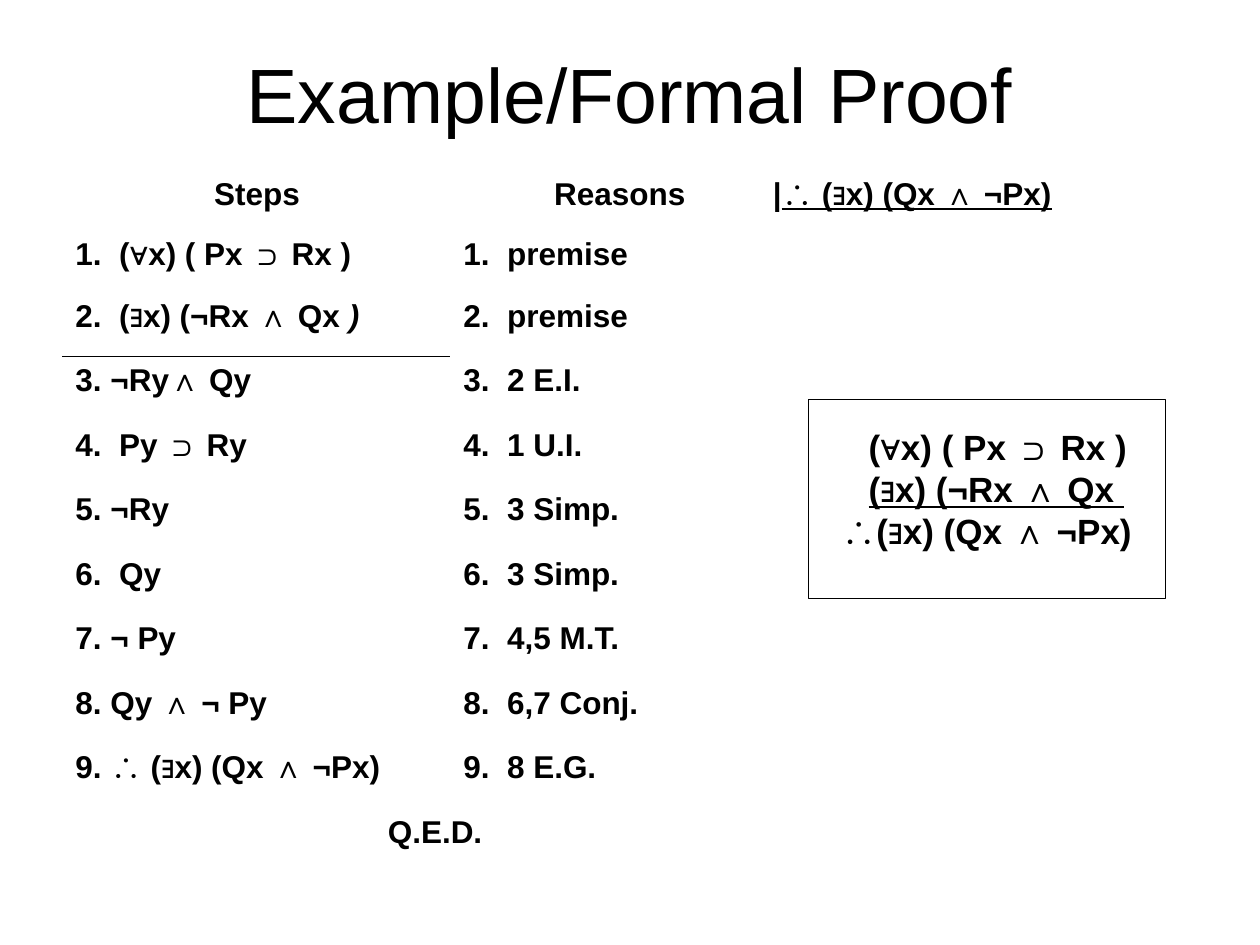
from lxml.etree import SubElement
from pptx import Presentation
from pptx.dml.color import RGBColor
from pptx.enum.shapes import MSO_SHAPE as Shape
from pptx.enum.text import MSO_ANCHOR as Anchor, PP_ALIGN as Align
from pptx.oxml.ns import qn
from pptx.util import Cm, Pt

# Content: a text is a list of (words, style) runs; style letters are b, i, u
TITLE = "Example/Formal Proof"
HEADER = ([("Steps", "b")],
          [("\tReasons\t|", "b"), ("∴ (∃x) (Qx ∧ ¬Px)", "bu")])
PROOF = [
    ([("1.  (∀x) ( Px ⊃ Rx )", "b")], "1.  premise"),
    ([("2.  (∃x) (¬Rx ∧ Qx", "b"), (" )", "bi")], "2.  premise"),
    ([("3. ¬Ry∧ Qy", "b")], "3.  2 E.I."),
    ([("4.  Py ⊃ Ry", "b")], "4.  1 U.I."),
    ([("5. ¬Ry", "b")], "5.  3 Simp."),
    ([("6.  Qy", "b")], "6.  3 Simp."),
    ([("7. ¬ Py", "b")], "7.  4,5 M.T."),
    ([("8. Qy ∧ ¬ Py", "b")], "8.  6,7 Conj."),
    ([("9. ∴ (∃x) (Qx ∧ ¬Px)", "b")], "9.  8 E.G."),
]
CLOSING = [("Q.E.D.", "b")]
ARGUMENT = [
    [("\t(∀x) ( Px ⊃ Rx )", "b")],
    [("\t(∃x) (¬Rx ∧ Qx", "bu"), (" ", "bui")],
    [("∴(∃x) (Qx ∧ ¬Px)", "b")],
]

COLORS = {"ink": "000000"}
FONT = "Arial"
COLUMNS = [Cm(7.82), Cm(5.28), Cm(1.9), Cm(7)]
ROWS = [Cm(1.47), Cm(1.24)] + [Cm(1.3)] * (len(PROOF) - 1) + [Cm(1.02)]
HEADER_TABS = [Cm(1.83), Cm(6.24)]
ARGUMENT_TABS = [Cm(0.55)]
INK = RGBColor.from_string(COLORS["ink"])


def write(paragraph, runs, size, align=Align.LEFT, before=0, tabs=()):
    paragraph.alignment = align
    paragraph.space_before = Pt(before)
    if tabs:
        tab_list = SubElement(paragraph._p.get_or_add_pPr(), qn("a:tabLst"))
        for position in tabs:
            SubElement(tab_list, qn("a:tab"), pos=str(int(position)), algn="l")
    for words, style in runs:
        run = paragraph.add_run()
        run.text = words
        font = run.font
        font.name, font.size = FONT, Pt(size)
        font.bold, font.italic, font.underline = (key in style for key in "biu")
        font.color.rgb = INK


def fill_cell(cell, runs, **layout):
    write(cell.text_frame.paragraphs[0], runs, 18, before=4.5, **layout)


def rule_cell(cell, side):
    line = SubElement(cell._tc.get_or_add_tcPr(), qn("a:" + side),
                      w=str(int(Pt(0.45))))
    fill = SubElement(line, qn("a:solidFill"))
    SubElement(fill, qn("a:srgbClr"), val=COLORS["ink"])


presentation = Presentation()
presentation.slide_width, presentation.slide_height = Cm(25.4), Cm(19.05)
slide = presentation.slides.add_slide(presentation.slide_layouts[5])

# Title
title = slide.shapes.title
title.left, title.top, title.width, title.height = Cm(1.27), Cm(0.43), Cm(22.86), Cm(2.87)
title.text_frame.vertical_anchor = Anchor.MIDDLE
write(title.text_frame.paragraphs[0], [(TITLE, "")], 44, Align.CENTER)

# Proof table
proof = slide.shapes.add_table(len(ROWS), len(COLUMNS), Cm(1.27), Cm(3.18),
                               sum(COLUMNS), sum(ROWS)).table
proof.first_row = proof.horz_banding = False
for column, width in zip(proof.columns, COLUMNS):
    column.width = width
for row, height in zip(proof.rows, ROWS):
    row.height = height

# Rule between premises and derived steps
rule_cell(proof.cell(2, 0), "lnB")
rule_cell(proof.cell(3, 0), "lnT")
for cell in proof.iter_cells():
    cell.fill.background()
    cell.margin_left = cell.margin_right = Cm(0.25)
    cell.margin_top = cell.margin_bottom = Cm(0.13)

# Steps and reasons
for index in range(len(ROWS) - 1):
    first = 2 if index == 2 else 1
    proof.cell(index, first).merge(proof.cell(index, 3))
last = len(ROWS) - 1
proof.cell(last, 0).merge(proof.cell(last, 2))

for column in (0, 1):
    proof.cell(0, column).vertical_anchor = Anchor.MIDDLE
fill_cell(proof.cell(0, 0), HEADER[0], align=Align.CENTER)
fill_cell(proof.cell(0, 1), HEADER[1], tabs=HEADER_TABS)
for index, (step, reason) in enumerate(PROOF, start=1):
    fill_cell(proof.cell(index, 0), step)
    fill_cell(proof.cell(index, 1), [(reason, "b")])
fill_cell(proof.cell(last, 0), CLOSING, align=Align.CENTER)

# Argument and its frame
argument = slide.shapes.add_textbox(Cm(16.71), Cm(8.46), Cm(7.42), Cm(2.79))
frame = argument.text_frame
frame.word_wrap = True
for index, runs in enumerate(ARGUMENT):
    paragraph = frame.add_paragraph() if index else frame.paragraphs[0]
    write(paragraph, runs, 20, tabs=ARGUMENT_TABS)

border = slide.shapes.add_shape(Shape.RECTANGLE, Cm(16.3), Cm(8.05), Cm(7.2), Cm(4.02))
border.shadow.inherit = False
border.fill.background()
border.line.color.rgb = INK
border.line.width = Pt(0.75)

presentation.save("out.pptx")
